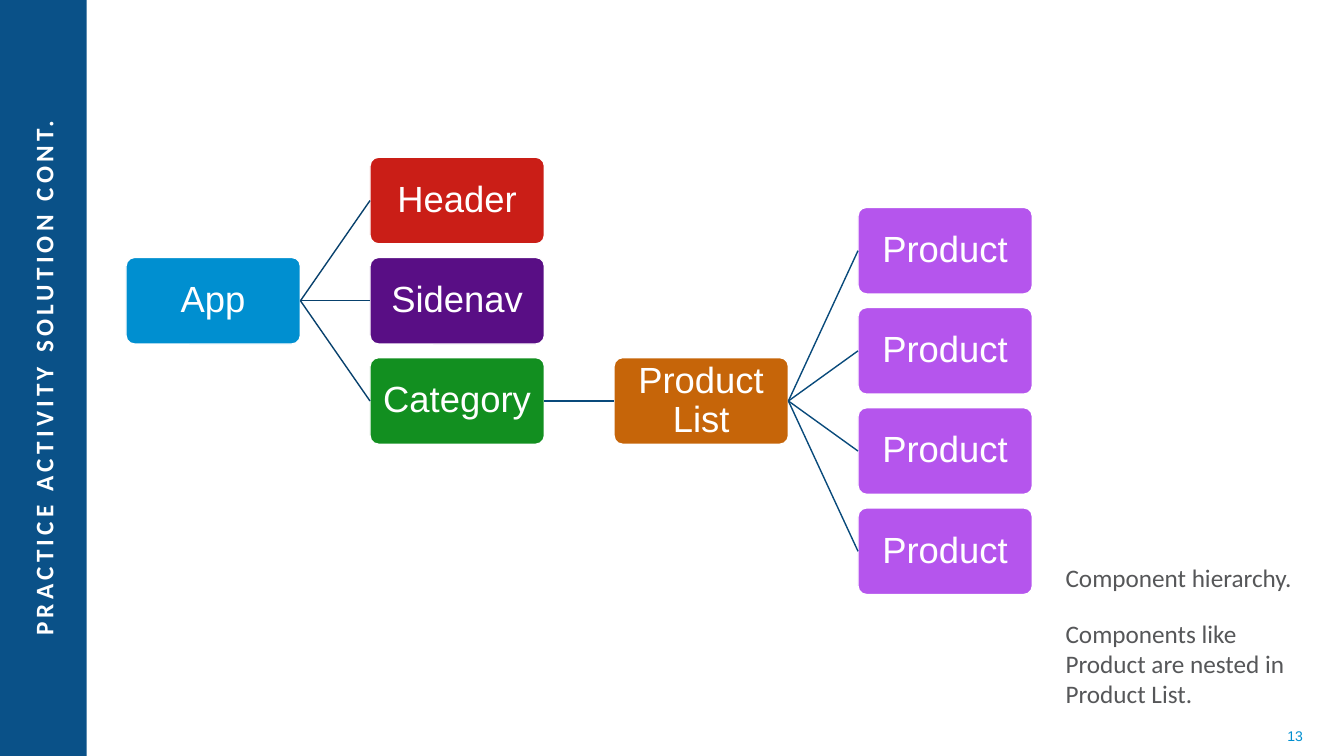
from collections import namedtuple

from lxml import etree
from pptx import Presentation
from pptx import util as u
from pptx.dml.color import RGBColor
from pptx.enum import shapes, text
from pptx.oxml import ns

WHITE = RGBColor(0xFF, 0xFF, 0xFF)
NAVY = RGBColor(0x0A, 0x51, 0x88)
BLUE = RGBColor(0x00, 0x8F, 0xD0)
RED = RGBColor(0xCA, 0x1E, 0x17)
INDIGO = RGBColor(0x59, 0x0E, 0x85)
GREEN = RGBColor(0x12, 0x8F, 0x20)
ORANGE = RGBColor(0xC6, 0x65, 0x09)
PURPLE = RGBColor(0xB5, 0x55, 0xED)
GREY = RGBColor(0x56, 0x57, 0x59)
APP_LINK = RGBColor(0x08, 0x41, 0x6D)
PRODUCT_LINK = RGBColor(0x09, 0x4A, 0x7B)

Box = namedtuple("Box", "left top width height")
Node = namedtuple("Node", "label column row color parent")

NODE_WIDTH, NODE_HEIGHT = 1.73, 0.86
COLUMN_STEP, ROW_STEP = 2.42, 0.497
LEFT, RIGHT = 1, 3

COMPONENTS = [
    Node("App", 0, 2, BLUE, None),
    Node("Header", 1, 0, RED, 0),
    Node("Sidenav", 1, 2, INDIGO, 0),
    Node("Category", 1, 4, GREEN, 0),
    Node("Product List", 2, 4, ORANGE, 3),
] + [Node("Product", 3, row, PURPLE, 4) for row in (1, 3, 5, 7)]


def inches(box):
    return [u.Inches(length) for length in box]


def add_span(para, words, font, size, color, bold=False):
    span = para.add_run()
    span.text = words
    span.font.name = font
    span.font.size = u.Pt(size)
    span.font.bold = bold
    span.font.color.rgb = color
    return span


def add_text_box(page, box, anchor):
    shape = page.shapes.add_textbox(*inches(box))
    frame = shape.text_frame
    frame.word_wrap = True
    frame.vertical_anchor = anchor
    return shape


def draw_sidebar(page, box):
    band = page.shapes.add_shape(shapes.MSO_SHAPE.RECTANGLE, *inches(box))
    band.shadow.inherit = False
    band.fill.solid()
    band.fill.fore_color.rgb = NAVY
    band.line.fill.background()

    length, depth = 7.68, 0.32
    title_box = Box(box.left + (box.width - length) / 2,
                    box.top + (box.height - depth) / 2 - 0.01, length, depth)
    title = add_text_box(page, title_box, text.MSO_ANCHOR.MIDDLE)
    title.rotation = 270
    para = title.text_frame.paragraphs[0]
    para.alignment = text.PP_ALIGN.CENTER
    span = add_span(para, "PRACTICE ACTIVITY SOLUTION CONT.", "Calibri", 18, WHITE, True)
    span.font._element.set("spc", "300")


def draw_node(page, box, node):
    shape = page.shapes.add_shape(shapes.MSO_SHAPE.ROUNDED_RECTANGLE, *inches(box))
    shape.adjustments[0] = 0.1
    shape.shadow.inherit = False
    shape.fill.solid()
    shape.fill.fore_color.rgb = node.color
    shape.line.color.rgb = WHITE
    shape.line.width = u.Pt(1)
    frame = shape.text_frame
    frame.word_wrap = True
    frame.vertical_anchor = text.MSO_ANCHOR.MIDDLE
    frame.margin_left = frame.margin_right = u.Inches(0.04)
    frame.margin_top = frame.margin_bottom = u.Inches(0.04)
    para = frame.paragraphs[0]
    para.alignment = text.PP_ALIGN.CENTER
    para.line_spacing = 0.9
    add_span(para, node.label, "Arial", 26, WHITE)
    return shape


def draw_link(page, parent, child, color):
    link = page.shapes.add_connector(shapes.MSO_CONNECTOR.STRAIGHT, 0, 0, 0, 0)
    link.begin_connect(parent, RIGHT)
    link.end_connect(child, LEFT)
    link.line.color.rgb = color
    link.line.width = u.Pt(1)
    etree.SubElement(link._element.spPr, ns.qn("a:effectLst"))


def draw_hierarchy(page, box):
    drawn = []
    for node in COMPONENTS:
        place = Box(box.left + node.column * COLUMN_STEP,
                    box.top + node.row * ROW_STEP, NODE_WIDTH, NODE_HEIGHT)
        drawn.append(draw_node(page, place, node))
    for node, shape in zip(COMPONENTS, drawn):
        if node.parent is not None:
            color = APP_LINK if node.parent == 0 else PRODUCT_LINK
            draw_link(page, drawn[node.parent], shape, color)


def draw_notes(page, box):
    frame = add_text_box(page, box, text.MSO_ANCHOR.BOTTOM).text_frame
    first, second = frame.paragraphs[0], frame.add_paragraph()
    second.space_before = u.Pt(10)
    for para, words in (
        (first, "Component hierarchy."),
        (second, "Components like Product are nested in Product List."),
    ):
        para.space_after = u.Pt(8)
        add_span(para, words, "Calibri", 18, GREY)


def draw_page_number(page, box):
    frame = add_text_box(page, box, text.MSO_ANCHOR.MIDDLE).text_frame
    para = frame.paragraphs[0]
    para.alignment = text.PP_ALIGN.RIGHT
    add_span(para, "13", "Arial", 10, BLUE)


def main():
    deck = Presentation()
    deck.slide_width, deck.slide_height = u.Inches(13.33), u.Inches(7.5)
    page = deck.slides.add_slide(deck.slide_layouts[6])
    draw_sidebar(page, Box(0, 0, 0.86, 7.52))
    draw_hierarchy(page, Box(1.25, 1.56, 8.98, 4.34))
    draw_notes(page, Box(10.47, 1.92, 2.61, 5.16))
    draw_page_number(page, Box(9.91, 7.1, 3.11, 0.4))
    deck.save("out.pptx")


if __name__ == "__main__":
    main()
